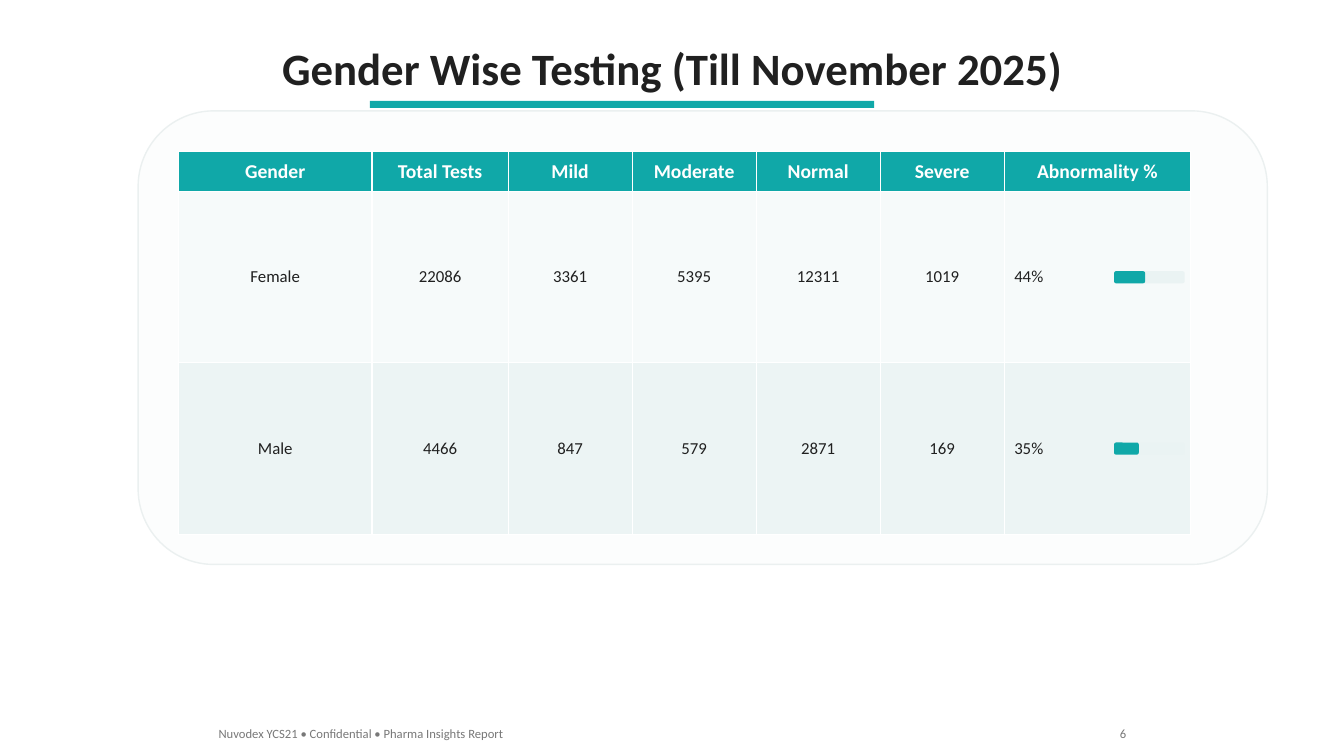
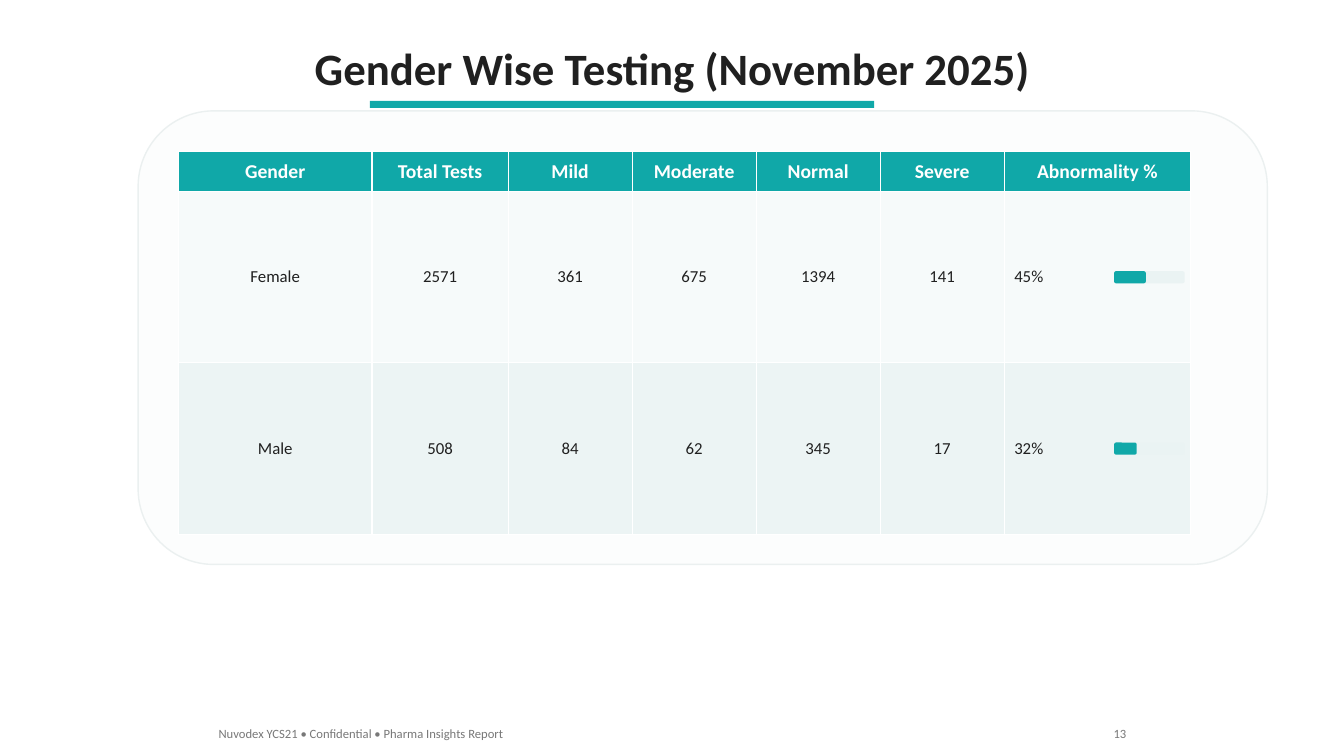
import pptx
import pptx.dml.color
import pptx.enum.shapes
import pptx.enum.text
import pptx.util

Inches = pptx.util.Inches
Align = pptx.enum.text.PP_ALIGN
Anchor = pptx.enum.text.MSO_ANCHOR
Shape = pptx.enum.shapes.MSO_SHAPE

COLORS = {
    "teal": "10A8A8",
    "ink": "202020",
    "white": "FFFFFF",
    "grey": "787878",
    "panel": "FCFDFD",
    "panel_line": "EBF0F0",
    "track": "EAF3F3",
    "odd_row": "F6FAFA",
    "even_row": "ECF4F4",
}
FONT = "Calibri"
FOOTER = "Nuvodex YCS21 • Confidential • Pharma Insights Report"

HEADERS = ["Gender", "Total Tests", "Mild", "Moderate", "Normal", "Severe", "Abnormality %"]
COLUMN_WIDTHS = [1.92, 1.35, 1.23, 1.23, 1.23, 1.23, 1.85]
TABLE_LEFT, TABLE_TOP = 1.77, 1.5
HEADER_HEIGHT, ROW_HEIGHT = 0.4, 1.7
BAR_LEFT, BAR_WIDTH, BAR_HEIGHT = 11.05, 0.7, 0.12

PAGES = [
    {
        "title": "Gender Wise Testing (Till November 2025)",
        "number": 6,
        "rows": [
            ("Female", 22086, 3361, 5395, 12311, 1019, 44),
            ("Male", 4466, 847, 579, 2871, 169, 35),
        ],
    },
    {
        "title": "Gender Wise Testing (November 2025)",
        "number": 13,
        "rows": [
            ("Female", 2571, 361, 675, 1394, 141, 45),
            ("Male", 508, 84, 62, 345, 17, 32),
        ],
    },
]


def rgb(name):
    return pptx.dml.color.RGBColor.from_string(COLORS[name])


def write_text(frame, text, size=12, color="ink", bold=False, align=Align.LEFT):
    para = frame.paragraphs[0]
    para.alignment = align
    span = para.add_run()
    span.text = text
    span.font.name = FONT
    span.font.size = pptx.util.Pt(size)
    span.font.bold = bold
    span.font.color.rgb = rgb(color)


def add_title(page, text):
    title = page.shapes.title
    title.left, title.top = Inches(0.67), Inches(0.35)
    title.width, title.height = Inches(12), Inches(0.64)
    frame = title.text_frame
    frame.auto_size = pptx.enum.text.MSO_AUTO_SIZE.NONE
    frame.vertical_anchor = Anchor.TOP
    write_text(frame, text, size=32, bold=True, align=Align.CENTER)


def add_box(page, kind, left, top, width, height, fill, line=None):
    box = page.shapes.add_shape(kind, Inches(left), Inches(top), Inches(width), Inches(height))
    box.shadow.inherit = False
    box.fill.solid()
    box.fill.fore_color.rgb = rgb(fill)
    if line:
        box.line.color.rgb = rgb(line)
        box.line.width = pptx.util.Pt(1)
    else:
        box.line.fill.background()


def add_footer_text(page, left, width, text, align=Align.LEFT):
    box = page.shapes.add_textbox(Inches(left), Inches(7.15), Inches(width), Inches(0.25))
    box.text_frame.word_wrap = True
    write_text(box.text_frame, text, size=9, color="grey", align=align)


def fill_cell(cell, text, fill, **text_format):
    cell.fill.solid()
    cell.fill.fore_color.rgb = rgb(fill)
    cell.vertical_anchor = Anchor.MIDDLE
    write_text(cell.text_frame, text, **text_format)


def add_results_table(page, rows):
    heights = [HEADER_HEIGHT] + [ROW_HEIGHT] * len(rows)
    table = page.shapes.add_table(
        len(heights), len(HEADERS), Inches(TABLE_LEFT), Inches(TABLE_TOP),
        Inches(sum(COLUMN_WIDTHS)), Inches(sum(heights))).table
    table.horz_banding = False
    for column, width in zip(table.columns, COLUMN_WIDTHS):
        column.width = Inches(width)
    for table_row, height in zip(table.rows, heights):
        table_row.height = Inches(height)
    for column, header in enumerate(HEADERS):
        fill_cell(table.cell(0, column), header, "teal",
                  size=14, color="white", bold=True, align=Align.CENTER)
    for index, (*values, percent) in enumerate(rows, 1):
        fill = "odd_row" if index % 2 else "even_row"
        for column, value in enumerate(values):
            fill_cell(table.cell(index, column), str(value), fill, align=Align.CENTER)
        fill_cell(table.cell(index, len(values)), f"{percent}%", fill)


def add_percent_bars(page, rows):
    for index, row in enumerate(rows):
        middle = TABLE_TOP + HEADER_HEIGHT + ROW_HEIGHT * (index + 0.5)
        top = middle - BAR_HEIGHT / 2
        for share, fill in ((1, "track"), (row[-1] / 100, "teal")):
            add_box(page, Shape.ROUNDED_RECTANGLE, BAR_LEFT, top, BAR_WIDTH * share, BAR_HEIGHT, fill)


def add_page(deck, title, number, rows):
    page = deck.slides.add_slide(deck.slide_layouts.get_by_name("Title Only"))
    add_title(page, title)
    add_box(page, Shape.RECTANGLE, 3.67, 1, 5, 0.07, "teal")
    add_box(page, Shape.ROUNDED_RECTANGLE, 1.37, 1.1, 11.2, 4.5, "panel", line="panel_line")
    add_results_table(page, rows)
    add_percent_bars(page, rows)
    add_footer_text(page, 2.07, 4, FOOTER)
    add_footer_text(page, 10.77, 0.5, str(number), align=Align.RIGHT)


def main():
    deck = pptx.Presentation()
    deck.slide_width, deck.slide_height = Inches(13.33), Inches(7.5)
    for content in PAGES:
        add_page(deck, **content)
    deck.save("out.pptx")


if __name__ == "__main__":
    main()
